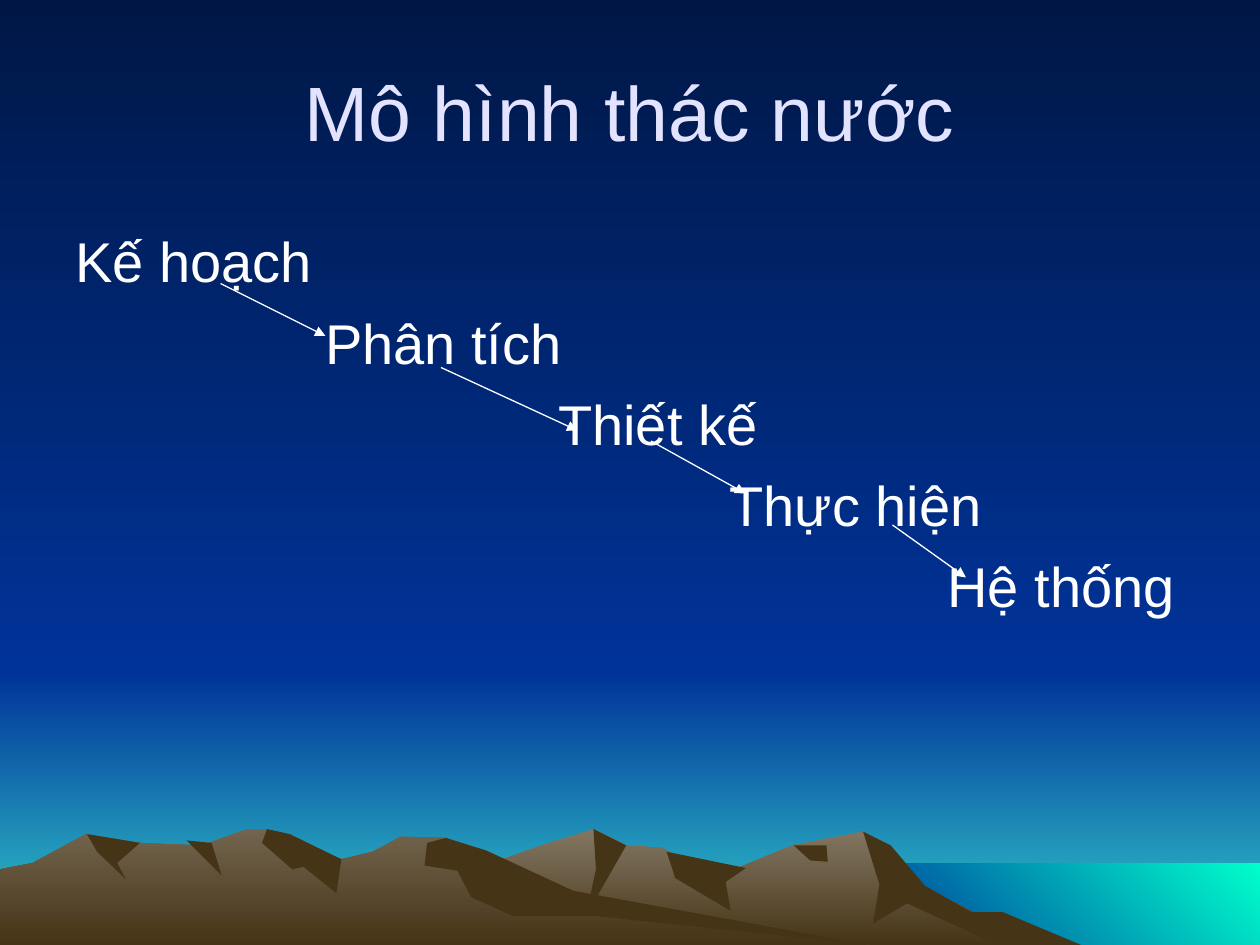
from dataclasses import dataclass
from typing import Optional

from lxml.etree import SubElement
from pptx import Presentation
from pptx.dml.color import RGBColor
from pptx.dml.fill import FillFormat
from pptx.enum.shapes import MSO_CONNECTOR, MSO_SHAPE
from pptx.enum.text import MSO_ANCHOR, MSO_AUTO_SIZE, PP_ALIGN
from pptx.oxml.ns import qn
from pptx.util import Emu, Inches, Pt

NIGHT = RGBColor(0x00, 0x17, 0x46)
BLUE = RGBColor(0x00, 0x33, 0x99)
TEAL = RGBColor(0x33, 0xCC, 0xCC)
AQUA = RGBColor(0x00, 0xFF, 0xCC)
EARTH = RGBColor(0x46, 0x34, 0x16)
STONE = RGBColor(0x83, 0x77, 0x63)
CLAY = RGBColor(0x72, 0x64, 0x4E)
LAVENDER = RGBColor(0xE3, 0xE3, 0xFF)
WHITE = RGBColor(0xFF, 0xFF, 0xFF)

COLUMNS, ROWS = 120, 90
SLIDE_WIDTH, SLIDE_HEIGHT = Inches(10), Inches(7.5)
HORIZON = 64
TERRAIN_UNIT = SLIDE_WIDTH / 1000


@dataclass(frozen=True)
class Area:
    left: float
    top: float
    width: float
    height: float


@dataclass(frozen=True)
class Band:
    area: Area
    start: RGBColor
    end: RGBColor
    angle: int = 270


@dataclass(frozen=True)
class Ridge:
    points: tuple[tuple[int, int], ...]
    crest: Optional[RGBColor] = None


@dataclass(frozen=True)
class Stage:
    name: str
    indent: float


@dataclass(frozen=True)
class Flow:
    start: tuple[int, int]
    end: tuple[int, int]


BANDS = (
    Band(Area(0, HORIZON, COLUMNS, ROWS - HORIZON), BLUE, TEAL),
    Band(Area(0, 0, COLUMNS, HORIZON), NIGHT, BLUE),
    Band(Area(82, 82.2, 38, 7.8), AQUA, BLUE, 225),
)

RIDGES = (
    Ridge((
        (258, 750), (355, 698), (430, 671), (471, 658), (497, 671), (526, 673),
        (566, 697), (629, 671), (685, 660), (723, 698), (821, 750)), STONE),
    Ridge((
        (685, 660), (707, 671), (734, 703), (771, 724), (796, 724), (858, 750),
        (792, 750), (720, 717), (693, 733), (698, 702))),
    Ridge(((471, 658), (497, 671), (465, 727), (473, 690))),
    Ridge(((529, 676), (592, 689), (576, 700), (580, 723), (536, 697))),
    Ridge(((630, 671), (656, 671), (657, 684), (643, 683))),
    Ridge((
        (0, 690), (26, 685), (68, 662), (111, 669), (160, 671), (196, 658), (212, 658),
        (271, 682), (296, 676), (318, 664), (354, 665), (432, 712), (690, 750),
        (0, 750)), CLAY),
    Ridge((
        (212, 658), (230, 662), (271, 682), (267, 709), (241, 688), (232, 690), (208, 669))),
    Ridge((
        (339, 669), (354, 665), (386, 675), (455, 707), (690, 750), (472, 727),
        (407, 727), (374, 712), (363, 691), (337, 687))),
    Ridge(((148, 667), (168, 669), (176, 695))),
    Ridge(((69, 662), (111, 669), (93, 685), (100, 698), (77, 676))),
)

TITLE_AREA = Area(6, 3, 108, 15)
STAGES_AREA = Area(6, 21, 108, 59)
STAGES = (
    Stage("Kế hoạch", 0),
    Stage("Phân tích", 1.98),
    Stage("Thiết kế", 3.83),
    Stage("Thực hiện", 5.19),
    Stage("Hệ thống", 6.92),
)
FLOWS = (
    Flow((21, 27), (31, 32)),
    Flow((42, 35), (55, 41)),
    Flow((62, 42), (71, 47)),
    Flow((85, 50), (92, 55)),
)


def across(columns: float) -> Emu:
    return Emu(round(SLIDE_WIDTH * columns / COLUMNS))


def down(rows: float) -> Emu:
    return Emu(round(SLIDE_HEIGHT * rows / ROWS))


def apply_format(target, values: dict) -> None:
    for name, value in values.items():
        setattr(target, name, value)


def shade(fill: FillFormat, start: RGBColor, end: RGBColor, angle: int = 270) -> None:
    fill.gradient()
    fill.gradient_angle = angle
    for stop, color in zip(fill.gradient_stops, (start, end)):
        stop.color.rgb = color


def draw_band(slide, band: Band) -> None:
    area = band.area
    strip = slide.shapes.add_shape(MSO_SHAPE.RECTANGLE, across(area.left), down(area.top),
                                   across(area.width), down(area.height))
    strip.shadow.inherit = False
    strip.line.fill.background()
    shade(strip.fill, band.start, band.end, band.angle)


def draw_ridge(slide, ridge: Ridge) -> None:
    outline = slide.shapes.build_freeform(*ridge.points[0], scale=TERRAIN_UNIT)
    outline.add_line_segments(ridge.points[1:], close=True)
    mountain = outline.convert_to_shape()
    mountain.shadow.inherit = False
    mountain.line.fill.background()
    if ridge.crest is None:
        mountain.fill.solid()
        mountain.fill.fore_color.rgb = EARTH
    else:
        shade(mountain.fill, ridge.crest, EARTH)


def place_text(slide, holder, area: Area, anchor: MSO_ANCHOR) -> None:
    slide.shapes.element.append(holder.element)
    apply_format(holder, {"left": across(area.left), "top": down(area.top),
                          "width": across(area.width), "height": down(area.height)})
    apply_format(holder.text_frame, {"word_wrap": True, "auto_size": MSO_AUTO_SIZE.NONE,
                                     "vertical_anchor": anchor})


def style_paragraph(paragraph, size: int, color: RGBColor, align: PP_ALIGN, before: int) -> None:
    apply_format(paragraph, {"alignment": align, "space_before": Pt(before)})
    apply_format(paragraph.font, {"name": "Arial", "size": Pt(size)})
    paragraph.font.color.rgb = color


def write_stages(frame, stages: tuple[Stage, ...]) -> None:
    for index, stage in enumerate(stages):
        paragraph = frame.add_paragraph() if index else frame.paragraphs[0]
        paragraph.text = stage.name
        properties = paragraph._p.get_or_add_pPr()
        properties.set("marL", str(Inches(stage.indent)))
        properties.set("indent", "0")
        SubElement(properties, qn("a:buNone"))
        style_paragraph(paragraph, 32, WHITE, PP_ALIGN.LEFT, 8 if index else 0)


def draw_flow(slide, flow: Flow) -> None:
    (left, top), (right, bottom) = flow.start, flow.end
    arrow = slide.shapes.add_connector(MSO_CONNECTOR.STRAIGHT, across(left), down(top),
                                       across(right), down(bottom))
    arrow.line.color.rgb = WHITE
    arrow.line.width = Pt(0.75)
    SubElement(arrow.line._get_or_add_ln(), qn("a:tailEnd"), type="triangle")
    SubElement(arrow.element.spPr, qn("a:effectLst"))


def main() -> None:
    deck = Presentation()
    apply_format(deck, {"slide_width": SLIDE_WIDTH, "slide_height": SLIDE_HEIGHT})
    slide = deck.slides.add_slide(deck.slide_layouts[1])
    title, body = slide.placeholders
    shade(slide.background.fill, NIGHT, BLUE)
    for band in BANDS:
        draw_band(slide, band)
    for ridge in RIDGES:
        draw_ridge(slide, ridge)
    place_text(slide, title, TITLE_AREA, MSO_ANCHOR.MIDDLE)
    title.text_frame.text = "Mô hình thác nước"
    style_paragraph(title.text_frame.paragraphs[0], 44, LAVENDER, PP_ALIGN.CENTER, 0)
    place_text(slide, body, STAGES_AREA, MSO_ANCHOR.TOP)
    write_stages(body.text_frame, STAGES)
    for flow in FLOWS:
        draw_flow(slide, flow)
    deck.save("out.pptx")


if __name__ == "__main__":
    main()
